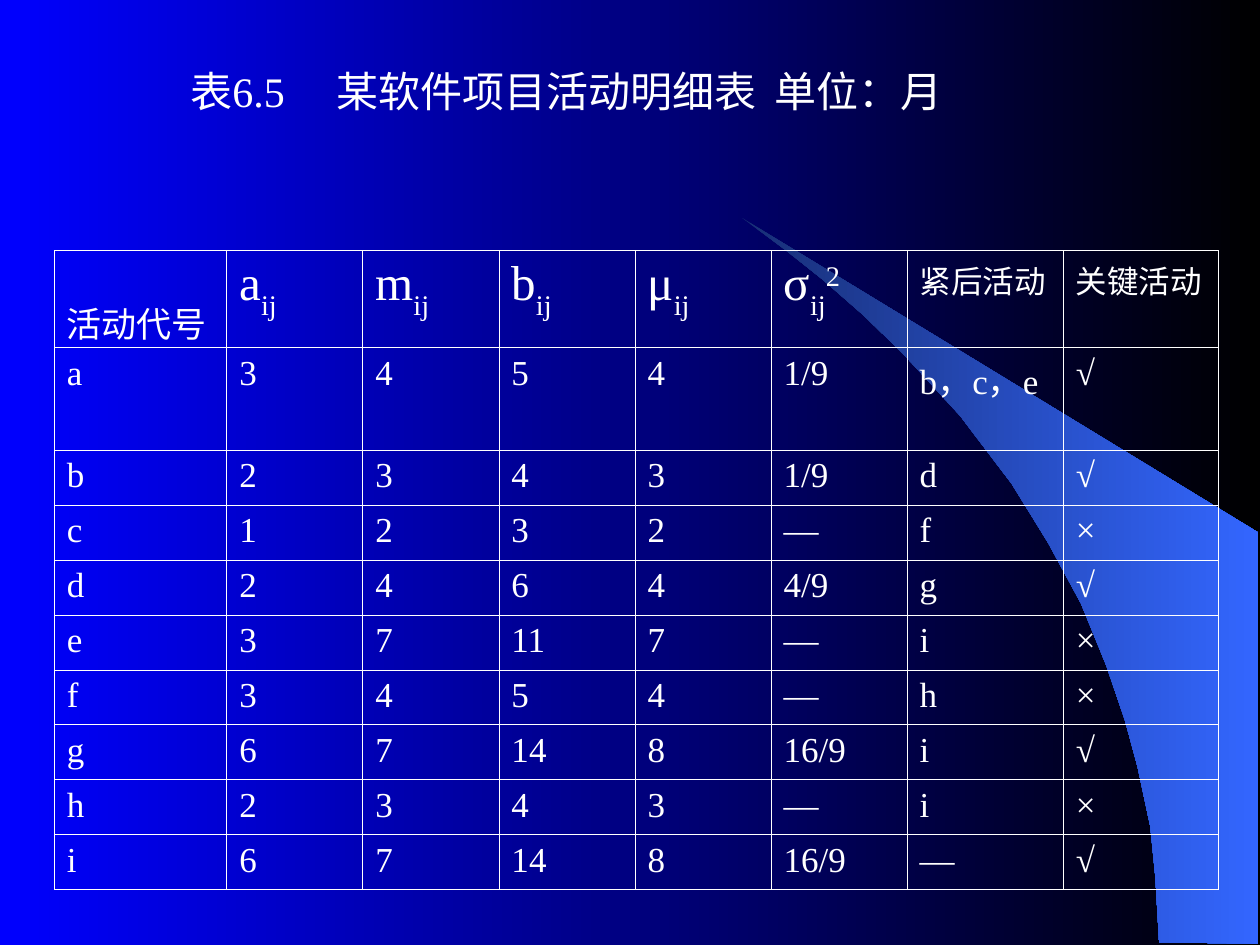
from dataclasses import dataclass

import pptx
import pptx.dml.color
import pptx.enum.text
import pptx.oxml
import pptx.oxml.ns
import pptx.util
from pptx.util import Inches

WHITE = "FFFFFF"
FONT = "Times New Roman"
TOP = pptx.enum.text.MSO_ANCHOR.TOP
MIDDLE = pptx.enum.text.MSO_ANCHOR.MIDDLE
BOTTOM = pptx.enum.text.MSO_ANCHOR.BOTTOM


@dataclass(frozen=True)
class Heading:
    text: str
    size: float
    sub: str = ""
    sup: str = ""
    anchor: pptx.enum.text.MSO_ANCHOR = TOP


HEADINGS = [
    Heading("活动代号", 20, anchor=BOTTOM),
    Heading("a", 28, "ij"),
    Heading("m", 28, "ij"),
    Heading("b", 28, "ij"),
    Heading("μ", 28, "ij"),
    Heading("σ", 28, "ij", "2"),
    Heading("紧后活动", 18),
    Heading("关键活动", 18),
]
ACTIVITIES = [
    ("a", "3", "4", "5", "4", "1/9", "b，c，e", "√"),
    ("b", "2", "3", "4", "3", "1/9", "d", "√"),
    ("c", "1", "2", "3", "2", "—", "f", "×"),
    ("d", "2", "4", "6", "4", "4/9", "g", "√"),
    ("e", "3", "7", "11", "7", "—", "i", "×"),
    ("f", "3", "4", "5", "4", "—", "h", "×"),
    ("g", "6", "7", "14", "8", "16/9", "i", "√"),
    ("h", "2", "3", "4", "3", "—", "i", "×"),
    ("i", "6", "7", "14", "8", "16/9", "—", "√"),
]
COLUMN_WIDTHS = [1.37] + [1.08] * 5 + [1.24, 1.23]
TABLE_HEIGHT = 5.03
TALL_ROW = 0.77  # heading and the first activity
SHORT_ROW = (TABLE_HEIGHT - 2 * TALL_ROW) / (len(ACTIVITIES) - 1)

SWOOSH = [
    (9.2, 7.48), (9.99, 7.49), (9.99, 4.23), (5.89, 1.73), (6.24, 1.99), (6.53, 2.22),
    (6.85, 2.5), (7.16, 2.8), (7.62, 3.3), (8.03, 3.84), (8.32, 4.31), (8.58, 4.79),
    (8.78, 5.28), (8.93, 5.72), (9.03, 6.09), (9.13, 6.56), (9.17, 6.96),
]


def rgb(hex_color: str) -> pptx.dml.color.RGBColor:
    return pptx.dml.color.RGBColor.from_string(hex_color)


def fill_gradient(fill, start: str, end: str) -> None:
    """Fill from left to right."""
    fill.gradient()
    fill.gradient_angle = 0
    for stop, color in zip(fill.gradient_stops, (start, end)):
        stop.color.rgb = rgb(color)


def write(frame, text: str, *, size: float, sub: str = "", sup: str = "",
          tabs: tuple[float, ...] = ()) -> None:
    """Write one left-aligned paragraph, with optional sub- and superscript."""
    paragraph = frame.paragraphs[0]
    paragraph.alignment = pptx.enum.text.PP_ALIGN.LEFT
    if tabs:
        stops = pptx.oxml.ns.qn("a:tabLst")
        tab_list = paragraph._p.get_or_add_pPr().makeelement(stops, {})
        paragraph._p.get_or_add_pPr().append(tab_list)
        for position in tabs:
            tab = tab_list.makeelement(pptx.oxml.ns.qn("a:tab"),
                                       {"pos": str(Inches(position)), "algn": "l"})
            tab_list.append(tab)
    for part, baseline in ((text, 0), (sub, -30000), (sup, 30000)):
        if not part:
            continue
        run = paragraph.add_run()
        run.text = part
        run.font.size = pptx.util.Pt(size)
        run.font.name = FONT
        run.font.color.rgb = rgb(WHITE)
        if baseline:
            run._r.get_or_add_rPr().set("baseline", str(baseline))


def outline_cell(cell) -> None:
    """Give a cell thin white borders and no fill."""
    properties = cell._tc.get_or_add_tcPr()
    for side in ("lnL", "lnR", "lnT", "lnB"):
        properties.append(pptx.oxml.parse_xml(
            f'<a:{side} {pptx.oxml.ns.nsdecls("a")} w="{pptx.util.Pt(0.45)}">'
            f'<a:solidFill><a:srgbClr val="{WHITE}"/></a:solidFill></a:{side}>'))
    cell.fill.background()


def draw_swoosh(slide) -> None:
    points = [(Inches(x), Inches(y)) for x, y in SWOOSH]
    builder = slide.shapes.build_freeform(*points[0])
    builder.add_line_segments(points[1:], close=True)
    swoosh = builder.convert_to_shape()
    swoosh.shadow.inherit = False
    swoosh.line.fill.background()
    fill_gradient(swoosh.fill, "182F76", "3366FF")


def draw_title(slide) -> None:
    title = slide.shapes.title
    title.left, title.top = Inches(1.41), Inches(0.47)
    title.width, title.height = Inches(6.19), Inches(0.5)
    frame = title.text_frame
    frame.word_wrap = True
    frame.auto_size = pptx.enum.text.MSO_AUTO_SIZE.NONE
    frame.vertical_anchor = MIDDLE
    frame.margin_right = 0
    write(frame, "表6.5\t某软件项目活动明细表\t单位：月", size=24, tabs=(1.16, 4.64))


def draw_activity_table(slide) -> None:
    activities = slide.shapes.add_table(
        len(ACTIVITIES) + 1, len(HEADINGS), Inches(0.43), Inches(1.99),
        Inches(sum(COLUMN_WIDTHS)), Inches(TABLE_HEIGHT)).table
    activities.first_row = False
    activities.horz_banding = False
    for column, width in zip(activities.columns, COLUMN_WIDTHS):
        column.width = Inches(width)
    for index, row in enumerate(activities.rows):
        row.height = Inches(TALL_ROW if index < 2 else SHORT_ROW)

    # Heading row
    for column, heading in enumerate(HEADINGS):
        cell = activities.cell(0, column)
        cell.vertical_anchor = heading.anchor
        if heading.anchor == BOTTOM:
            cell.margin_bottom = 0
        write(cell.text_frame, heading.text, size=heading.size,
              sub=heading.sub, sup=heading.sup)

    # One row for each activity
    for row, values in enumerate(ACTIVITIES, start=1):
        for column, value in enumerate(values):
            write(activities.cell(row, column).text_frame, value, size=20)

    for cell in activities.iter_cells():
        outline_cell(cell)


def main() -> None:
    deck = pptx.Presentation()
    deck.slide_width, deck.slide_height = Inches(10), Inches(7.5)
    slide = deck.slides.add_slide(deck.slide_layouts[5])  # title only
    fill_gradient(slide.background.fill, "0000FF", "000000")
    draw_swoosh(slide)
    draw_title(slide)
    draw_activity_table(slide)
    deck.save("out.pptx")


if __name__ == "__main__":
    main()
